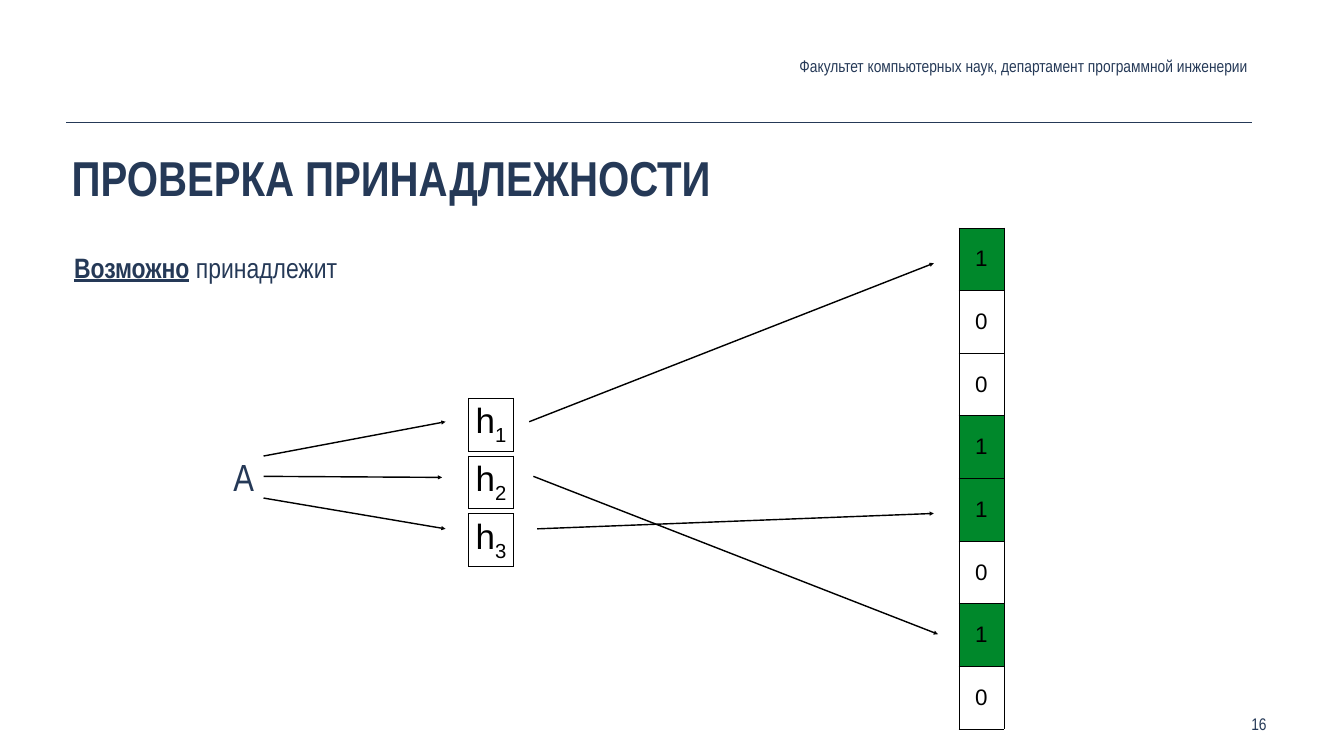
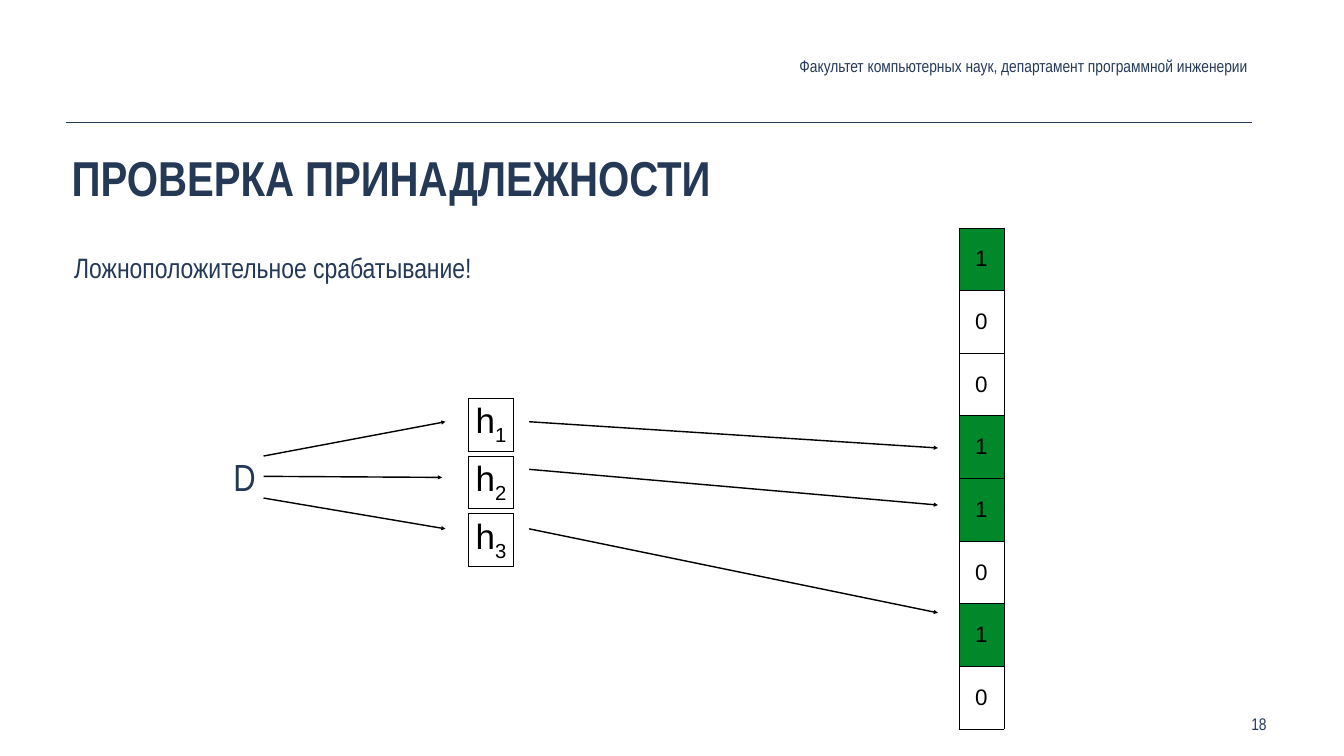
"""Build two slides on membership checks in a Bloom filter."""
from pptx import Presentation
from pptx.dml.color import RGBColor
from pptx.enum.shapes import MSO_CONNECTOR
from pptx.enum.text import MSO_ANCHOR as Anchor, MSO_AUTO_SIZE as AutoSize, PP_ALIGN as Align
from pptx.oxml.ns import qn
from pptx.util import Pt
from lxml.etree import SubElement

NAVY = RGBColor(0x25, 0x39, 0x57)
BLACK = RGBColor(0, 0, 0)
GREEN = RGBColor(0x00, 0x88, 0x2B)
NARROW, SANS = "Arial Narrow", "Arial"

TITLE = "ПРОВЕРКА ПРИНАДЛЕЖНОСТИ"
DEPARTMENT = "Факультет компьютерных наук, департамент программной инженерии"
BITS = "10011010"
HASH_COUNT = 3
INPUT_ARROWS = [
    ((376.5, 651.5), (636.5, 602.5)),
    ((376.5, 680.5), (631.5, 682)),
    ((376.5, 711.5), (636.5, 755.5)),
]
SLIDES = [
    {
        "number": "16",
        "element": "A",
        "verdict": [("Возможно", True), (" принадлежит", False)],
        "bit_arrows": [
            ((756, 602.5), (1334, 376)),
            ((762, 680.5), (1340, 906)),
            ((767.5, 755.5), (1334, 733.5)),
        ],
    },
    {
        "number": "18",
        "element": "D",
        "verdict": [("Ложноположительное срабатывание!", False)],
        "bit_arrows": [
            ((756, 602.5), (1340, 640)),
            ((756, 670.5), (1340, 721.5)),
            ((756, 755.5), (1340, 875.5)),
        ],
    },
]

INSET = 6
COLUMN_WIDTH = 64
HASH_LEFT, HASH_TOP, HASH_HEIGHT, HASH_STEP = 669.6, 568.8, 60, 82.5
BITS_LEFT, BITS_TOP, BIT_HEIGHT = 1370, 325.5, 89.5


def style_font(font, name, size, color, bold=False):
    font.name, font.size, font.bold = name, Pt(size), bold
    font.color.rgb = color


def add_text(slide, box, runs, size, align=Align.JUSTIFY, anchor=Anchor.TOP,
             bold=False, wrap=True, grow=False):
    frame = slide.shapes.add_textbox(*map(Pt, box)).text_frame
    frame.margin_left = frame.margin_right = frame.margin_top = frame.margin_bottom = Pt(INSET)
    frame.word_wrap, frame.vertical_anchor = wrap, anchor
    frame.auto_size = AutoSize.SHAPE_TO_FIT_TEXT if grow else AutoSize.NONE
    paragraph = frame.paragraphs[0]
    paragraph.alignment = align
    style_font(paragraph.font, NARROW, size, NAVY, bold)
    for text, emphasized in runs:
        run = paragraph.add_run()
        run.text = text
        if emphasized:
            run.font.bold = run.font.underline = True


def add_line(slide, start, end, color, width, arrow=False):
    line = slide.shapes.add_connector(MSO_CONNECTOR.STRAIGHT, *map(Pt, start + end))
    line.line.color.rgb, line.line.width = color, Pt(width)
    if arrow:
        SubElement(line.line._get_or_add_ln(), qn("a:tailEnd"), type="triangle")
    SubElement(line._element.spPr, qn("a:effectLst"))


def add_borders(cell):
    properties = cell._tc.get_or_add_tcPr()
    for side in ("a:lnL", "a:lnR", "a:lnT", "a:lnB"):
        border = SubElement(properties, qn(side), w=str(Pt(1)))
        fill = SubElement(border, qn("a:solidFill"))
        SubElement(fill, qn("a:srgbClr"), val=str(BLACK))


def add_column(slide, left, top, row_height, labels, size):
    height = row_height * len(labels)
    table = slide.shapes.add_table(
        len(labels), 1, Pt(left), Pt(top), Pt(COLUMN_WIDTH), Pt(height)).table
    table.first_row = table.horz_banding = False
    for row, (label, subscript) in enumerate(labels):
        table.rows[row].height = Pt(row_height)
        cell = table.cell(row, 0)
        add_borders(cell)
        cell.vertical_anchor = Anchor.MIDDLE
        if label == "1":
            cell.fill.solid()
            cell.fill.fore_color.rgb = GREEN
        else:
            cell.fill.background()
        paragraph = cell.text_frame.paragraphs[0]
        paragraph.alignment = Align.CENTER
        for text in filter(None, (label, subscript)):
            run = paragraph.add_run()
            run.text = text
            style_font(run.font, SANS, size, BLACK)
        if subscript:
            run._r.get_or_add_rPr().set("baseline", "-25000")


def add_frame(slide, number):
    add_line(slide, (94.5, 174.5), (1788, 174.5), NAVY, 1)
    add_text(slide, (96.5, 204.5, 1470, 182), [(TITLE, False)], 70, Align.LEFT, bold=True)
    add_text(slide, (893, 74, 895, 40.5), [(DEPARTMENT, False)], 24, Align.RIGHT,
             Anchor.MIDDLE, grow=True)
    add_text(slide, (1781.5, 1013, 40, 40.5), [(number, False)], 24, Align.LEFT)


def add_check(slide, content):
    add_frame(slide, content["number"])
    for index in range(HASH_COUNT):
        add_column(slide, HASH_LEFT, HASH_TOP + index * HASH_STEP, HASH_HEIGHT,
                   [("h", str(index + 1))], 50)
    add_column(slide, BITS_LEFT, BITS_TOP, BIT_HEIGHT, [(bit, "") for bit in BITS], 32)
    add_text(slide, (327.5, 640, 49, 82), [(content["element"], False)], 54,
             anchor=Anchor.MIDDLE)
    for start, end in INPUT_ARROWS + content["bit_arrows"]:
        add_line(slide, start, end, BLACK, 2, arrow=True)
    add_text(slide, (100, 352, 690, 51), content["verdict"], 40)


def main():
    presentation = Presentation()
    presentation.slide_width, presentation.slide_height = Pt(1920), Pt(1080)
    for content in SLIDES:
        add_check(presentation.slides.add_slide(presentation.slide_layouts[6]), content)
    presentation.save("out.pptx")


if __name__ == "__main__":
    main()
